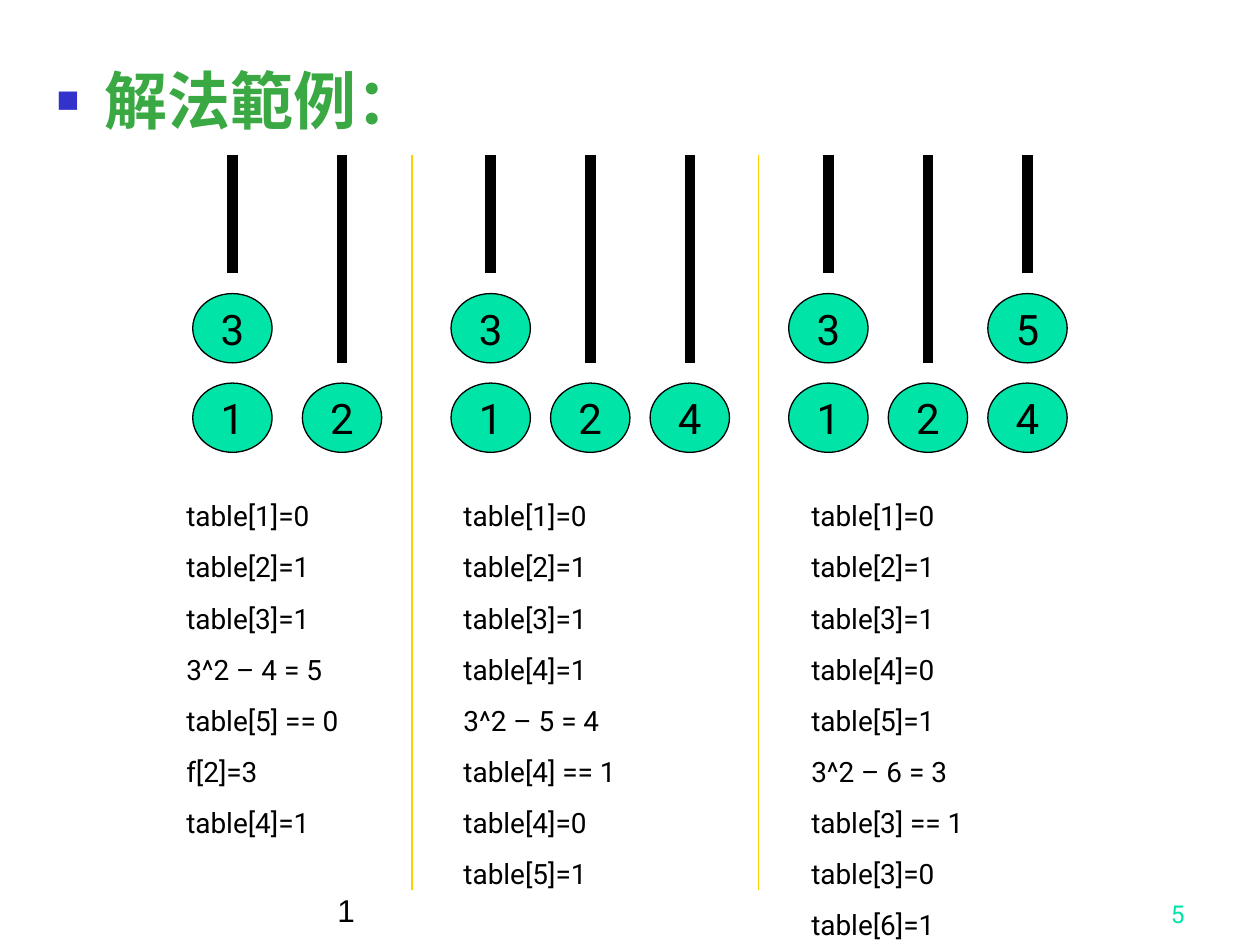
import pptx
import pptx.util
from lxml import etree
from pptx.dml.color import RGBColor
from pptx.enum.shapes import MSO_CONNECTOR, MSO_SHAPE
from pptx.enum.text import MSO_ANCHOR, MSO_AUTO_SIZE, PP_ALIGN
from pptx.oxml.ns import qn
from pptx.util import Inches, Pt

BLACK = RGBColor(0x00, 0x00, 0x00)
GREEN = RGBColor(0x3B, 0xA9, 0x43)
MINT = RGBColor(0x00, 0xE4, 0xA8)
YELLOW = RGBColor(0xFF, 0xCF, 0x01)
BULLET_COLOR = "3333CC"

TITLE = "解法範例："

# Each rod lists its balls from bottom to top; lengths are in inches.
STEPS = [
    {
        "left": 1.53, "pitch": 0.87, "text_left": 1.38,
        "rods": [[1, 3], [2]],
        "lines": ["table[1]=0", "table[2]=1", "table[3]=1", "3^2 – 4 = 5",
                  "table[5] == 0", "f[2]=3", "table[4]=1"],
    },
    {
        "left": 3.58, "pitch": 0.79, "text_left": 3.58,
        "rods": [[1, 3], [2], [4]],
        "lines": ["table[1]=0", "table[2]=1", "table[3]=1", "table[4]=1",
                  "3^2 – 5 = 4", "table[4] == 1", "table[4]=0", "table[5]=1"],
    },
    {
        "left": 6.26, "pitch": 0.79, "text_left": 6.34,
        "rods": [[1, 3], [2], [4, 5]],
        "lines": ["table[1]=0", "table[2]=1", "table[3]=1", "table[4]=0",
                  "table[5]=1", "3^2 – 6 = 3", "table[3] == 1", "table[3]=0",
                  "table[6]=1"],
    },
]
DIVIDERS = [3.27, 6.02]
FOOTERS = [
    ("1", 2.58, 5.42, PP_ALIGN.LEFT, "Arial", 18, BLACK),
    ("5", 7.42, 2.08, PP_ALIGN.RIGHT, "Roboto", 14, MINT),
]

ROD_TOP, DIVIDER_BOTTOM = 1.23, 7.06
BALL_W, BALL_H = 0.63, 0.55
BALL_TOP, BALL_RISE, ROD_GAP = 3.04, 0.71, 0.16
TEXT_TOP, TEXT_W, TEXT_H = 3.91, 1.89, 3.61


def style(p, font, size, color, bold=False):
    for r in p.runs:
        r.font.name = font
        r.font.size = Pt(size)
        r.font.bold = bold
        r.font.color.rgb = color


def add_bullet(p):
    pPr = p._p.get_or_add_pPr()
    pPr.set("marL", str(Inches(0.38)))
    pPr.set("indent", str(-Inches(0.38)))
    color = etree.SubElement(pPr, qn("a:buClr"))
    etree.SubElement(color, qn("a:srgbClr"), val=BULLET_COLOR)
    etree.SubElement(pPr, qn("a:buSzPct"), val="60000")
    etree.SubElement(pPr, qn("a:buFont"), typeface="Arial")
    etree.SubElement(pPr, qn("a:buChar"), char="■")


def add_title(s):
    sp = s.shapes.title
    sp.left, sp.top = Inches(0.35), Inches(0.44)
    sp.width, sp.height = Inches(9.21), Inches(0.79)
    tf = sp.text_frame
    tf.text = TITLE
    tf.auto_size = MSO_AUTO_SIZE.NONE
    tf.vertical_anchor = MSO_ANCHOR.TOP
    p = tf.paragraphs[0]
    p.alignment = PP_ALIGN.LEFT
    add_bullet(p)
    style(p, "Times New Roman", 36, GREEN, bold=True)


def add_vertical(s, x, top, bottom, color, width):
    line = s.shapes.add_connector(MSO_CONNECTOR.STRAIGHT, Inches(x),
                                  Inches(top), Inches(x), Inches(bottom))
    line.line.color.rgb = color
    line.line.width = Pt(width)
    etree.SubElement(line._element.spPr, qn("a:effectLst"))


def add_ball(s, number, x, y):
    sp = s.shapes.add_shape(MSO_SHAPE.OVAL, Inches(x), Inches(y),
                            Inches(BALL_W), Inches(BALL_H))
    sp.shadow.inherit = False
    sp.fill.solid()
    sp.fill.fore_color.rgb = MINT
    sp.line.color.rgb = BLACK
    sp.line.width = Pt(0.75)
    tf = sp.text_frame
    tf.text = str(number)
    tf.word_wrap = False
    tf.vertical_anchor = MSO_ANCHOR.MIDDLE
    p = tf.paragraphs[0]
    p.alignment = PP_ALIGN.CENTER
    style(p, "Roboto", 24, BLACK)


def add_text(s, text, x, y, w, h):
    tf = s.shapes.add_textbox(Inches(x), Inches(y), Inches(w),
                              Inches(h)).text_frame
    tf.word_wrap = True
    tf.text = text
    return tf


def add_step(s, step):
    for i, balls in enumerate(step["rods"]):
        x = step["left"] + i * step["pitch"]
        for level, number in enumerate(balls):
            y = BALL_TOP - level * BALL_RISE
            add_ball(s, number, x, y)
        add_vertical(s, x + BALL_W / 2, ROD_TOP, y - ROD_GAP, BLACK, 6)
    tf = add_text(s, "\n".join(step["lines"]), step["text_left"], TEXT_TOP,
                  TEXT_W, TEXT_H)
    for i, p in enumerate(tf.paragraphs):
        if i:
            p.space_before = Pt(10)
        style(p, "Roboto", 16, BLACK)


def main():
    prs = pptx.Presentation()
    prs.slide_width, prs.slide_height = Inches(10), Inches(7.5)
    s = prs.slides.add_slide(prs.slide_layouts[5])
    add_title(s)
    for step in STEPS:
        add_step(s, step)
    for x in DIVIDERS:
        add_vertical(s, x, ROD_TOP, DIVIDER_BOTTOM, YELLOW, 0.75)
    for text, x, w, align, font, size, color in FOOTERS:
        tf = add_text(s, text, x, 6.92, w, 0.5)
        tf.vertical_anchor = MSO_ANCHOR.BOTTOM
        p = tf.paragraphs[0]
        p.alignment = align
        style(p, font, size, color)
    prs.save("out.pptx")


if __name__ == "__main__":
    main()
